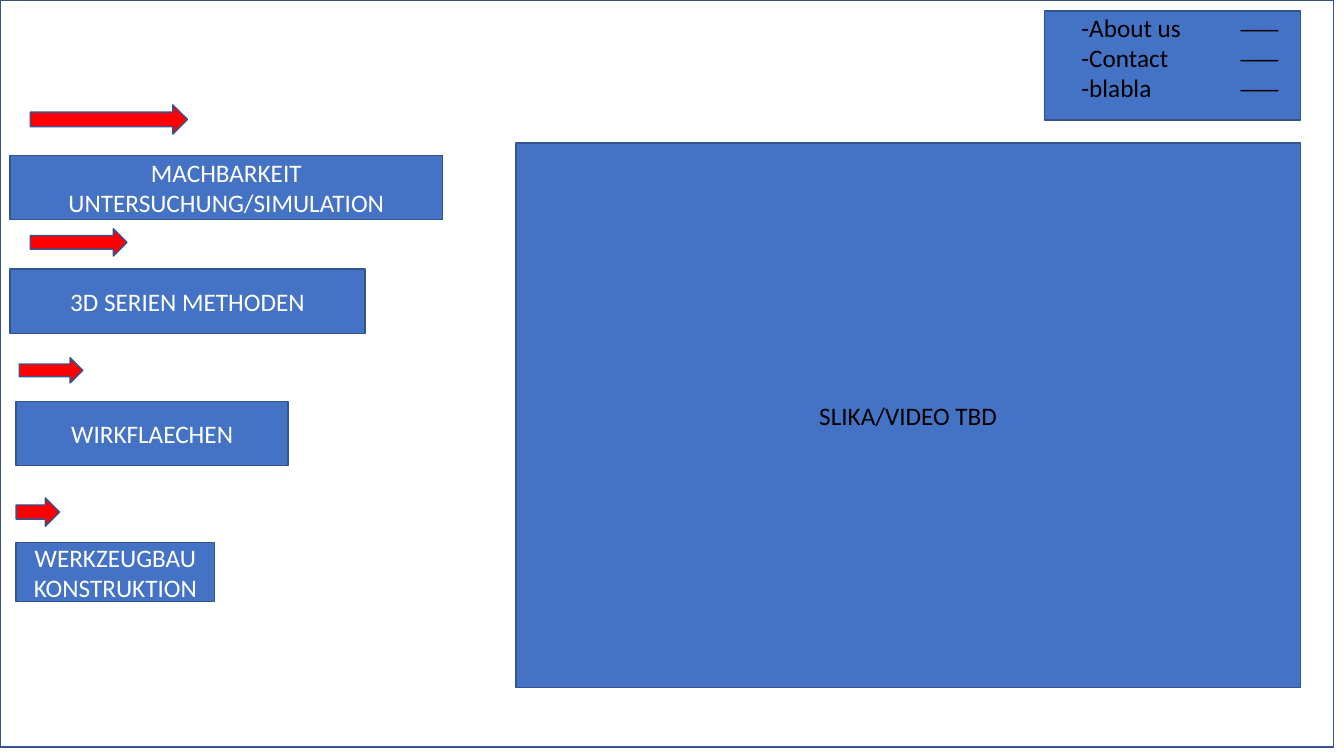
from dataclasses import dataclass

from pptx import Presentation
from pptx.dml.color import RGBColor as RGB
from pptx.enum.shapes import MSO_SHAPE as SHAPE
from pptx.enum.text import MSO_ANCHOR as ANCHOR, MSO_AUTO_SIZE as AUTO, PP_ALIGN as ALIGN
from pptx.util import Inches, Pt


@dataclass(frozen=True)
class Theme:
    box: RGB = RGB(0x44, 0x72, 0xC4)
    edge: RGB = RGB(0x32, 0x54, 0x91)
    arrow: RGB = RGB(0xFF, 0x00, 0x00)
    dark: RGB = RGB(0x00, 0x00, 0x00)
    light: RGB = RGB(0xFF, 0xFF, 0xFF)
    font: str = "Calibri"
    size: Pt = Pt(18)
    line: Pt = Pt(1)


theme = Theme()
prs = Presentation()
prs.slide_width, prs.slide_height = Inches(13.33), Inches(7.5)
s = prs.slides.add_slide(prs.slide_layouts[6])
col, row = prs.slide_width / 100, prs.slide_height / 100


def add_shape(kind, x, y, w, h, fill=None):
    sp = s.shapes.add_shape(kind, int(x * col), int(y * row), int(w * col), int(h * row))
    sp.shadow.inherit = False
    if fill is None:
        sp.fill.background()
    else:
        sp.fill.solid()
        sp.fill.fore_color.rgb = fill
    sp.line.color.rgb = theme.edge
    sp.line.width = theme.line
    return sp


def write(sp, text, color=theme.light, align=ALIGN.CENTER, anchor=ANCHOR.MIDDLE):
    tf = sp.text_frame
    tf.word_wrap = True
    tf.vertical_anchor = anchor
    tf.text = text
    for p in tf.paragraphs:
        p.alignment = align
        for r in p.runs:
            r.font.name = theme.font
            r.font.size = theme.size
            r.font.color.rgb = color


add_shape(SHAPE.RECTANGLE, 77.7, 1.47, 19.05, 14.4, theme.box)
video = add_shape(SHAPE.RECTANGLE, 38.4, 18.93, 58.35, 72, theme.box)
write(video, "SLIKA/VIDEO TBD", color=theme.dark)
add_shape(SHAPE.RECTANGLE, 0, 0, 99.23, 98.8)

steps = [
    ("MACHBARKEIT UNTERSUCHUNG/SIMULATION", (0.75, 20.53, 32.18, 8.53), (2.25, 13.87, 11.7, 3.87)),
    ("3D SERIEN METHODEN", (0.75, 35.6, 26.4, 8.53), (2.25, 30.27, 7.2, 3.6)),
    ("WIRKFLAECHEN", (1.2, 53.07, 20.25, 8.53), (1.43, 47.33, 4.73, 3.33)),
    ("WERKZEUGBAU KONSTRUKTION", (1.2, 71.73, 14.78, 7.87), (1.2, 65.87, 3.23, 3.73)),
]
for label, box, arrow in steps:
    write(add_shape(SHAPE.RECTANGLE, *box, theme.box), label)
    add_shape(SHAPE.RIGHT_ARROW, *arrow, theme.arrow)

menu = [
    (["___"] * 3, 91.58, -0.27, 6.15),
    (["-About us", "-Contact", "-blabla"], 79.73, 0.93, 14.93),
]
for lines, x, y, w in menu:
    sp = s.shapes.add_textbox(int(x * col), int(y * row), int(w * col), int(13.47 * row))
    write(sp, "\n".join(lines), color=theme.dark, align=ALIGN.LEFT, anchor=ANCHOR.TOP)
    sp.text_frame.auto_size = AUTO.SHAPE_TO_FIT_TEXT

prs.save("out.pptx")
